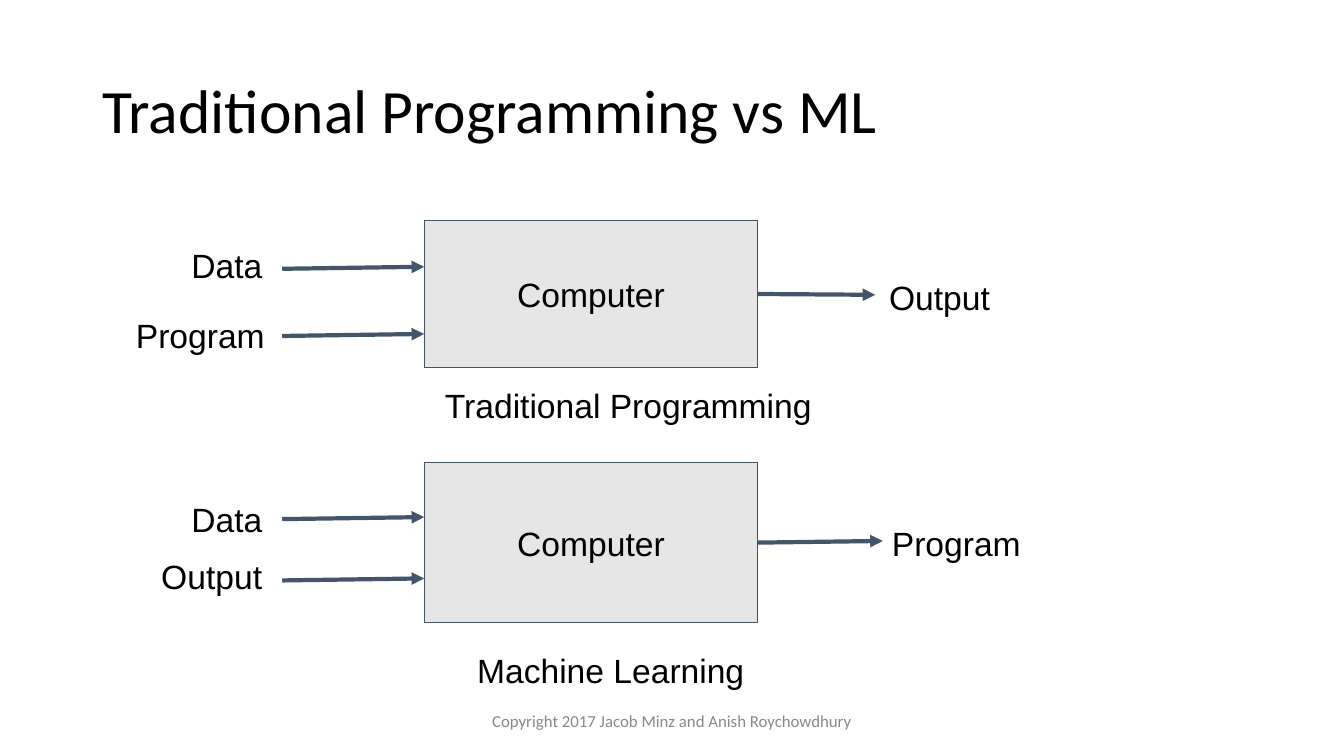
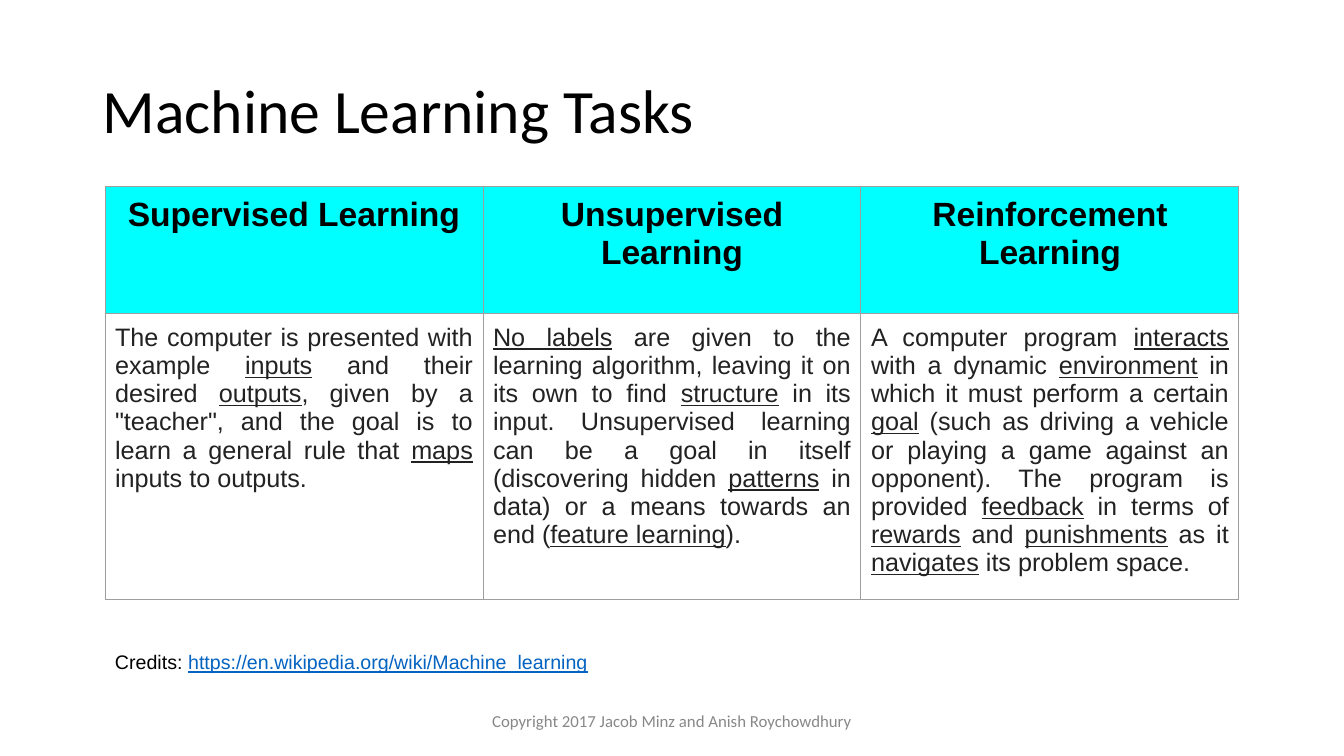
import pptx
import pptx.dml.color
import pptx.enum.shapes
import pptx.enum.text
import pptx.oxml
import pptx.oxml.ns
import pptx.util

ALIGN = pptx.enum.text.PP_ALIGN
ANCHOR = pptx.enum.text.MSO_ANCHOR
TITLE_ONLY = 5
COLUMNS, ROWS = 160, 90
COLORS = {
    "ink": "000000", "body": "222222", "footer": "888888", "link": "0563C1",
    "panel": "E7E6E6", "stroke": "44546A", "header": "00FFFF", "border": "9E9E9E",
}
FONTS = {
    "title": {"name": "Calibri", "size": pptx.util.Pt(44), "bold": False},
    "label": {"name": "Arial", "size": pptx.util.Pt(24), "bold": False},
    "header": {"name": "Arial", "size": pptx.util.Pt(24), "bold": True},
    "body": {"name": "Arial", "size": pptx.util.Pt(18), "bold": False},
    "credits": {"name": "Arial", "size": pptx.util.Pt(14), "bold": False},
    "footer": {"name": "Calibri", "size": pptx.util.Pt(12), "bold": False},
}
FONT_COLORS = {"body": "body", "footer": "footer"}
MARGINS = {f"margin_{side}": pptx.util.Inches(0.1)
           for side in ("left", "top", "right", "bottom")}
COPYRIGHT = "Copyright 2017 Jacob Minz and Anish Roychowdhury"

# Label boxes are (text, left, top, width, height, anchor) in grid units.
FLOWS = [
    {
        "panel": (50.5, 26.3, 39.7, 17.4),
        "inputs": [("Data", 20.4, 28, 13.2, 7.9, ANCHOR.TOP),
                   ("Program", 14.2, 35.9, 19.3, 7.9, ANCHOR.MIDDLE)],
        "arrow_rows": (32, 40),
        "result": ("Output", 103.1, 31.8, 17.5, 7.9, ANCHOR.TOP),
        "result_tip": (104.2, 35.1),
        "caption": ("Traditional Programming", 35, 44.6, 79.6, 5.9, ANCHOR.TOP),
    },
    {
        "panel": (50.5, 55.1, 39.7, 19),
        "inputs": [("Data", 20, 58.8, 14, 5.9, ANCHOR.MIDDLE),
                   ("Output", 16.8, 65, 16.8, 7.9, ANCHOR.TOP)],
        "arrow_rows": (61.8, 69.1),
        "result": ("Program", 104.2, 60.7, 19.3, 7.9, ANCHOR.MIDDLE),
        "result_tip": (105.1, 64.4),
        "caption": ("Machine Learning", 46, 76.2, 53.4, 7.9, ANCHOR.TOP),
    },
]
INPUT_START, INPUT_RISE = 33.6, 0.24

# Every second part between bars is underlined.
TASKS = {
    "Supervised Learning":
        "The computer is presented with example |inputs| and their desired "
        "|outputs|, given by a \"teacher\", and the goal is to learn a general "
        "rule that |maps| inputs to outputs.",
    "Unsupervised Learning":
        "|No labels| are given to the learning algorithm, leaving it on its own "
        "to find |structure| in its input. Unsupervised learning can be a goal "
        "in itself (discovering hidden |patterns| in data) or a means towards "
        "an end (|feature learning|).",
    "Reinforcement Learning":
        "A computer program |interacts| with a dynamic |environment| in which it "
        "must perform a certain |goal| (such as driving a vehicle or playing a "
        "game against an opponent). The program is provided |feedback| in terms "
        "of |rewards| and |punishments| as it |navigates| its problem space.",
}


def rgb(name):
    return pptx.dml.color.RGBColor.from_string(COLORS[name])


def set_all(target, values):
    for name, value in values.items():
        setattr(target, name, value)


def add_xml(parent, tag, content="", **attributes):
    """Append one DrawingML element to parent."""
    listed = "".join(f' {name}="{value}"' for name, value in attributes.items())
    parent.append(pptx.oxml.parse_xml(
        f'<a:{tag} {pptx.oxml.ns.nsdecls("a")}{listed}>{content}</a:{tag}>'))


class SlideBuilder:
    """Holds the deck, its grid and the current page."""

    def __init__(self):
        self.deck = pptx.Presentation()
        self.deck.slide_width = pptx.util.Inches(13.33)
        self.deck.slide_height = pptx.util.Inches(7.5)
        self.page = None

    def x(self, columns):
        return round(self.deck.slide_width * columns / COLUMNS)

    def y(self, rows):
        return round(self.deck.slide_height * rows / ROWS)

    def area(self, left, top, width, height):
        return self.x(left), self.y(top), self.x(width), self.y(height)

    def fill_text(self, frame, text, style, align, accent=None):
        """Fill a frame; underline every second part, in the accent colour if given."""
        para = frame.paragraphs[0]
        para.alignment = align
        for index, part in enumerate(text.split("|")):
            if not part:
                continue
            span = para.add_run()
            span.text = part
            marked = index % 2 == 1
            set_all(span.font, {**FONTS[style], "underline": marked})
            color = FONT_COLORS.get(style, "ink")
            span.font.color.rgb = rgb(accent if marked and accent else color)
        return para

    def new_page(self, title):
        self.page = self.deck.slides.add_slide(self.deck.slide_layouts[TITLE_ONLY])
        box = self.page.shapes.title
        places = ("left", "top", "width", "height")
        set_all(box, dict(zip(places, self.area(11, 4.8, 138, 17.4))))
        set_all(box.text_frame, {**MARGINS, "word_wrap": True,
                                 "vertical_anchor": ANCHOR.MIDDLE})
        self.fill_text(box.text_frame, title, "title", ALIGN.LEFT).line_spacing = 0.9

    def text(self, text, left, top, width, height, anchor=ANCHOR.TOP,
             style="label", align=ALIGN.CENTER, accent=None):
        box = self.page.shapes.add_textbox(*self.area(left, top, width, height))
        set_all(box.text_frame, {**MARGINS, "word_wrap": True,
                                 "vertical_anchor": anchor})
        self.fill_text(box.text_frame, text, style, align, accent)

    def footer(self):
        self.text(COPYRIGHT, 53, 83.4, 54, 4.8, ANCHOR.MIDDLE, "footer")

    def panel(self, text, area):
        box = self.page.shapes.add_shape(
            pptx.enum.shapes.MSO_SHAPE.RECTANGLE, *self.area(*area))
        box.shadow.inherit = False
        box.fill.solid()
        box.fill.fore_color.rgb = rgb("panel")
        box.line.color.rgb = rgb("stroke")
        box.line.width = pptx.util.Pt(0.75)
        set_all(box.text_frame, {**MARGINS, "word_wrap": True,
                                 "vertical_anchor": ANCHOR.MIDDLE})
        self.fill_text(box.text_frame, text, "label", ALIGN.CENTER)
        return box

    def arrow(self, start, end):
        line = self.page.shapes.add_connector(
            pptx.enum.shapes.MSO_CONNECTOR.STRAIGHT,
            self.x(start[0]), self.y(start[1]), self.x(end[0]), self.y(end[1]))
        line.line.color.rgb = rgb("stroke")
        line.line.width = pptx.util.Pt(3)
        add_xml(line.line._get_or_add_ln(), "tailEnd", type="triangle")
        add_xml(line._element.spPr, "effectLst")
        return line

    def flow(self, flow):
        """Draw inputs, the computer, its result and a caption."""
        left, top, width, height = flow["panel"]
        computer = self.panel("Computer", flow["panel"])
        for row in flow["arrow_rows"]:
            self.arrow((INPUT_START, row), (left, row - INPUT_RISE))
        outgoing = self.arrow((left + width, top + height / 2), flow["result_tip"])
        outgoing.begin_connect(computer, 3)
        for label in (*flow["inputs"], flow["result"], flow["caption"]):
            self.text(*label)

    def cell(self, cell, text, style, align, fill=None):
        set_all(cell, {**MARGINS, "vertical_anchor": ANCHOR.TOP})
        self.fill_text(cell.text_frame, text, style, align)
        stroke = f'<a:solidFill><a:srgbClr val="{COLORS["border"]}"/></a:solidFill>'
        for side in "LRTB":
            add_xml(cell._tc.get_or_add_tcPr(), f"ln{side}", stroke,
                    w=pptx.util.Pt(0.75))
        if fill:
            cell.fill.solid()
            cell.fill.fore_color.rgb = rgb(fill)
        else:
            cell.fill.background()

    def table(self, tasks, left, top, column_width, row_heights):
        frame = self.page.shapes.add_table(
            len(row_heights), len(tasks),
            *self.area(left, top, column_width * len(tasks), sum(row_heights)))
        table = frame.table
        table.horz_banding = False
        for row, height in zip(table.rows, row_heights):
            row.height = self.y(height)
        for index, (heading, description) in enumerate(tasks.items()):
            table.columns[index].width = self.x(column_width)
            self.cell(table.cell(0, index), heading, "header", ALIGN.CENTER, "header")
            self.cell(table.cell(1, index), description, "body", ALIGN.JUSTIFY)


def main():
    builder = SlideBuilder()

    builder.new_page("Traditional Programming vs ML")
    for flow in FLOWS:
        builder.flow(flow)
    builder.footer()

    builder.new_page("Machine Learning Tasks")
    builder.table(TASKS, 12.5, 22.2, 45, (15.1, 34.1))
    builder.text("Credits: |https://en.wikipedia.org/wiki/Machine_learning",
                 12.5, 76.2, 118.7, 6, style="credits", align=ALIGN.LEFT,
                 accent="link")
    builder.footer()

    builder.deck.save("out.pptx")


if __name__ == "__main__":
    main()
